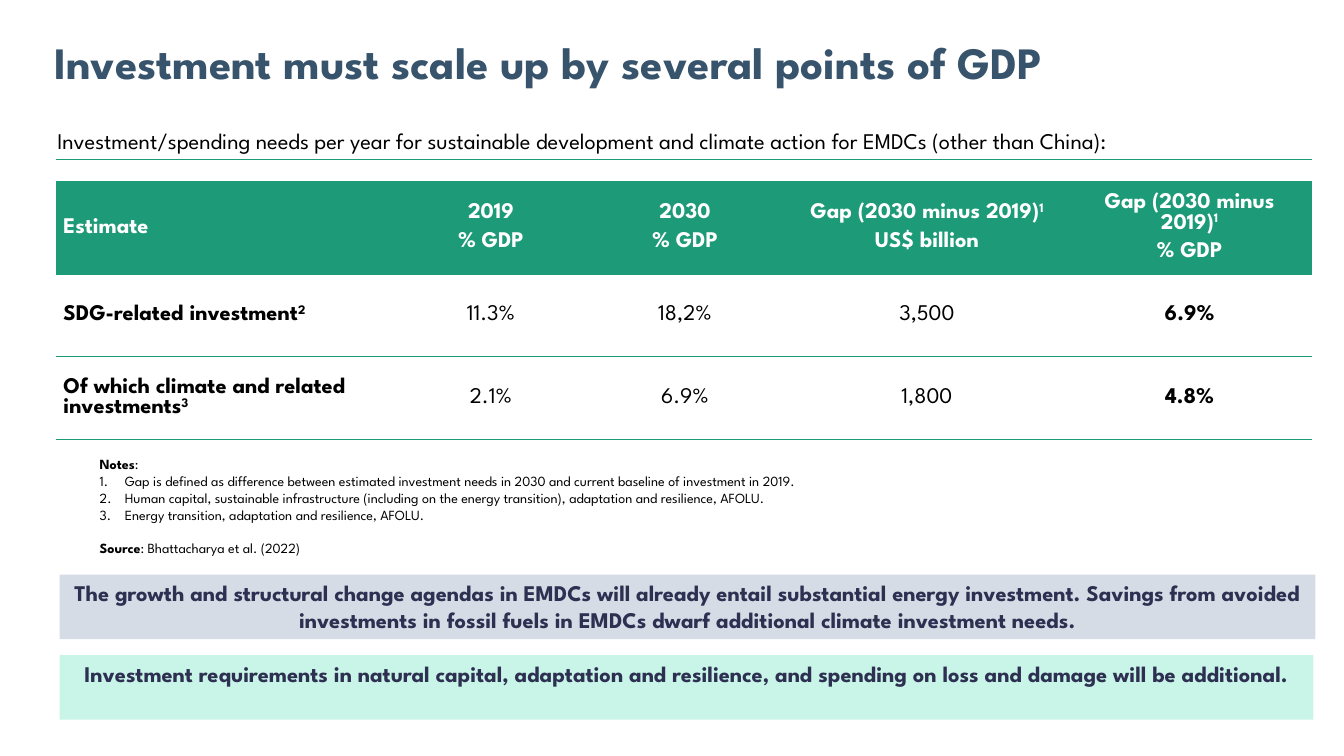
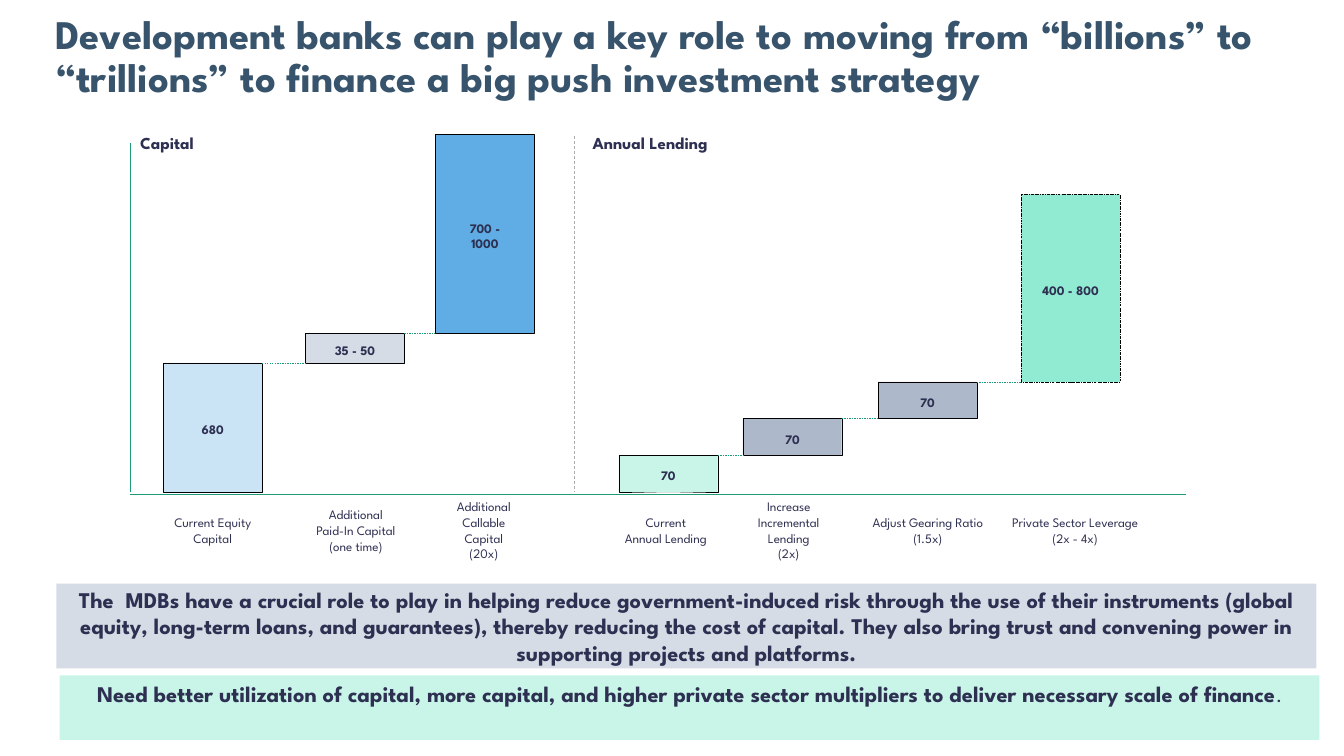
from dataclasses import dataclass

from lxml import etree
from pptx import Presentation
from pptx import util as u
from pptx.dml.color import RGBColor
from pptx.enum import dml, shapes, text
from pptx.oxml.ns import qn


@dataclass(frozen=True)
class Theme:
    face: str = "League Spartan"
    stop_face: str = "Roboto"
    title_ink: str = "37546C"
    ink: str = "2E3052"
    black: str = "000000"
    white: str = "FFFFFF"
    green: str = "1D9A78"
    mint: str = "C8F5E8"
    aqua: str = "91EAD2"
    mist: str = "D6DCE5"
    slate: str = "ADB9CA"
    sky: str = "CAE4F6"
    blue: str = "5FADE4"
    title_size: float = 32
    long_title_size: float = 29
    body_size: float = 16
    heading_size: float = 12
    note_size: float = 10
    label_size: float = 9.3
    hairline: float = 0.25
    rule: float = 0.5
    border: float = 1


THEME = Theme()
TOP, MIDDLE = text.MSO_ANCHOR.TOP, text.MSO_ANCHOR.MIDDLE
LEFT, CENTER = text.PP_ALIGN.LEFT, text.PP_ALIGN.CENTER
DASH, DASH_DOT = dml.MSO_LINE.DASH, dml.MSO_LINE.LONG_DASH_DOT
PLAIN_GRID = "{2D5ABB26-0587-4C30-8999-92F81FD0307C}"
BOLD, REGULAR, RAISED = {"bold": True}, {"bold": False}, {"raised": True}


def rgb(color):
    return RGBColor.from_string(color)


class Deck:
    """Positions and lengths are percentages of the slide's width and height."""

    def __init__(self, theme):
        self.theme = theme
        self.show = Presentation()
        self.show.slide_width, self.show.slide_height = u.Inches(13.33), u.Inches(7.5)
        self.slide = None

    def new_slide(self):
        self.slide = self.show.slides.add_slide(self.show.slide_layouts[6])

    def across(self, share):
        return round(self.show.slide_width * share / 100)

    def down(self, share):
        return round(self.show.slide_height * share / 100)

    def frame(self, left, top, width, height):
        return self.across(left), self.down(top), self.across(width), self.down(height)

    def compose(self, body, paragraphs, size, color, bold=False, align=LEFT, after=None):
        for index, pieces in enumerate(paragraphs):
            paragraph = body.paragraphs[0] if index == 0 else body.add_paragraph()
            paragraph.alignment = align
            if after is not None:
                paragraph.space_after = u.Pt(after)
            font = paragraph.font
            font.name, font.size, font.bold = self.theme.face, u.Pt(size), bold
            font.color.rgb = rgb(color)
            for piece in [pieces] if isinstance(pieces, str) else pieces:
                words, style = (piece, {}) if isinstance(piece, str) else piece
                if "\v" in words:
                    paragraph.text = words
                    continue
                run = paragraph.add_run()
                run.text = words
                if "bold" in style:
                    run.font.bold = style["bold"]
                if "face" in style:
                    run.font.name = style["face"]
                if style.get("raised"):
                    run.font._element.set("baseline", "30000")

    def text(self, box, paragraphs, size, color, anchor=TOP, **style):
        body = self.slide.shapes.add_textbox(*self.frame(*box)).text_frame
        body.word_wrap = True
        body.vertical_anchor = anchor
        self.compose(body, paragraphs, size, color, **style)
        return body

    def title(self, box, words, size):
        body = self.text(box, [words], size, self.theme.title_ink, bold=True)
        body.paragraphs[0].line_spacing = 0.9

    def block(self, box, fill, paragraphs, size, anchor=TOP):
        block = self.slide.shapes.add_shape(shapes.MSO_SHAPE.RECTANGLE, *self.frame(*box))
        block.shadow.inherit = False
        block.fill.solid()
        block.fill.fore_color.rgb = rgb(fill)
        block.line.fill.background()
        block.text_frame.word_wrap = True
        block.text_frame.vertical_anchor = anchor
        self.compose(block.text_frame, paragraphs, size, self.theme.ink,
                     bold=True, align=CENTER)
        return block

    def band(self, box, fill, message, anchor=TOP):
        self.block(box, fill, [message], self.theme.body_size, anchor)

    def bar(self, box, fill, value, dash=None):
        bar = self.block(box, fill, [value], self.theme.label_size, MIDDLE)
        bar.text_frame.margin_top, bar.text_frame.margin_bottom = u.Inches(0.04), 0
        bar.line.color.rgb = rgb(self.theme.black)
        bar.line.width = u.Pt(self.theme.hairline)
        if dash:
            bar.line.dash_style = dash

    def line(self, start, end, color, width, dash=None, alpha=None):
        line = self.slide.shapes.add_connector(
            shapes.MSO_CONNECTOR.STRAIGHT,
            self.across(start[0]), self.down(start[1]),
            self.across(end[0]), self.down(end[1]))
        line.line.color.rgb = rgb(color)
        line.line.width = u.Pt(width)
        if dash:
            line.line.dash_style = dash
        properties = line._element.spPr
        if alpha:
            tint = next(properties.iter(qn("a:srgbClr")))
            etree.SubElement(tint, qn("a:alpha")).set("val", str(alpha * 1000))
        etree.SubElement(properties, qn("a:effectLst"))

    def number(self, paragraph):
        properties = paragraph._p.get_or_add_pPr()
        indent = u.Inches(0.25)
        properties.set("marL", str(indent))
        properties.set("indent", str(-indent))
        mark = etree.Element(qn("a:buAutoNum"), type="arabicPeriod")
        properties.insert_element_before(mark, "a:tabLst", "a:defRPr", "a:extLst")

    def underline(self, cell, width):
        properties = cell._tc.get_or_add_tcPr()
        edge = etree.Element(qn("a:lnB"), w=str(u.Pt(width)))
        fill = etree.SubElement(edge, qn("a:solidFill"))
        etree.SubElement(fill, qn("a:srgbClr"), val=self.theme.green)
        properties.insert(0, edge)

    def table(self, left, top, widths, heights, rows):
        theme = self.theme
        holder = self.slide.shapes.add_table(
            len(rows), len(widths), *self.frame(left, top, sum(widths), sum(heights)))
        next(holder._element.iter(qn("a:tableStyleId"))).text = PLAIN_GRID
        grid = holder.table
        grid.first_row = grid.horz_banding = False
        for column, width in zip(grid.columns, widths):
            column.width = self.across(width)
        for r, (row, height) in enumerate(zip(rows, heights)):
            grid.rows[r].height = self.down(height)
            header, last = r == 0, r == len(rows) - 1
            for c, paragraphs in enumerate(row):
                cell = grid.cell(r, c)
                cell.vertical_anchor = MIDDLE
                cell.margin_left = cell.margin_right = u.Inches(0.07)
                cell.margin_top = cell.margin_bottom = 0
                if header:
                    cell.fill.solid()
                    cell.fill.fore_color.rgb = rgb(theme.green)
                else:
                    cell.fill.background()
                self.underline(cell, theme.rule if last else theme.border)
                self.compose(cell.text_frame, paragraphs, theme.body_size,
                             theme.white if header else theme.black,
                             bold=header or c in (0, len(widths) - 1),
                             align=CENTER if c else LEFT, after=6)

    def waterfall(self, base, steps):
        theme, bar_width, label_height = self.theme, 7.35, 5.07
        tops = [step[1] for step in steps]
        for index, (left, top, fill, value, label, middle, width, dash) in enumerate(steps):
            bottom = tops[index - 1] if index else base
            self.bar((left, top, bar_width, bottom - top), fill, value, dash)
            self.text((middle - width / 2, 67.6, width, label_height), label,
                      theme.label_size, theme.ink, MIDDLE, align=CENTER)
        for step, following in zip(steps, steps[1:]):
            self.line((step[0] + bar_width, step[1]), (following[0], step[1]),
                      theme.green, theme.hairline, DASH)


def investment_needs(deck):
    theme = deck.theme
    deck.new_slide()
    deck.title((3.3, 4.8, 86.25, 9.07),
               "Investment must scale up by several points of GDP", theme.title_size)
    deck.text((3.53, 16.13, 95.4, 4.93),
              ["Investment/spending needs per year for sustainable development and climate "
               "action for EMDCs (other than China):"], theme.body_size, theme.black)
    deck.line((4.2, 21.07), (97.65, 21.07), theme.green, theme.rule)

    gap = ["Gap (2030 minus 2019)", ("1", RAISED)]
    deck.table(4.2, 24, [25.43, 13.8, 15.08, 20.93, 18.15], [12.27, 10.93, 10.93], [
        [["Estimate"], ["2019", "% GDP"], ["2030", "% GDP"],
         [gap, "US$ billion"], [gap, "% GDP"]],
        [[["SDG-related investment", ("2", RAISED)]],
         ["11.3%"], ["18,2%"], ["3,500"], ["6.9%"]],
        [[["Of which climate and related investments", ("3", RAISED)]],
         ["2.1%"], ["6.9%"], ["1,800"], ["4.8%"]],
    ])

    notes = deck.text((6.68, 59.6, 69.68, 14.8), [
        [("Notes", BOLD), ":"],
        "Gap is defined as difference between estimated investment needs in 2030 and "
        "current baseline of investment in 2019.",
        "Human capital, sustainable infrastructure (including on the energy transition), "
        "adaptation and resilience, AFOLU.",
        "Energy transition, adaptation and resilience, AFOLU.",
        [("Source", BOLD), ": Bhattacharya et al. (2022)"],
    ], theme.note_size, theme.black)
    for note in notes.paragraphs[1:4]:
        deck.number(note)
    notes.paragraphs[4].space_before = u.Pt(12)

    deck.band((4.43, 76, 93.45, 8.53), theme.mist,
              "The growth and structural change agendas in EMDCs will already entail "
              "substantial energy investment. Savings from avoided investments in fossil "
              "fuels in EMDCs dwarf additional climate investment needs.")
    deck.band((4.43, 86.67, 93.3, 8.53), theme.mint,
              "Investment requirements in natural capital, adaptation and resilience, and "
              "spending on loss and damage will be additional.")


def development_banks(deck):
    theme = deck.theme
    base = 65.07
    deck.new_slide()
    deck.line((9.68, 18.93), (9.68, base), theme.green, theme.rule)
    deck.line((42.75, 18), (42.75, base), theme.black, theme.rule, DASH, alpha=32)
    deck.line((9.68, 65.33), (88.28, 65.33), theme.green, theme.rule)
    for left, heading in ((9.68, "Capital"), (43.35, "Annual Lending")):
        deck.text((left, 15.33, 13.5, 7.2), [heading], theme.heading_size, theme.ink,
                  MIDDLE, bold=True)

    deck.waterfall(base, [
        (12.15, 48, theme.sky, "680", ["Current Equity Capital"], 15.83, 7.35, None),
        (22.73, 44.13, theme.mist, "35 - 50",
         ["Additional Paid-In Capital (one time)"], 26.48, 7.35, None),
        (32.4, 17.73, theme.blue, "700 -\v1000",
         ["Additional Callable Capital", "(20x)"], 36, 7.35, None),
    ])
    deck.waterfall(base, [
        (46.05, 60.27, theme.mint, "70", ["Current", "Annual Lending"], 49.54, 10.73, None),
        (55.28, 55.33, theme.slate, "70",
         ["Increase Incremental Lending", "(2x)"], 58.69, 9.08, None),
        (65.33, 50.53, theme.slate, "70",
         ["Adjust Gearing Ratio", "(1.5x)"], 69.04, 10.58, None),
        (75.98, 25.73, theme.aqua, "400 - 800",
         ["Private Sector Leverage", "(2x - 4x)"], 79.99, 11.48, DASH_DOT),
    ])

    deck.band((4.2, 77.2, 93.75, 11.2), theme.mist,
              "The  MDBs have a crucial role to play in helping reduce government-induced "
              "risk through the use of their instruments (global equity, long-term loans, "
              "and guarantees), thereby reducing the cost of capital. They also bring trust "
              "and convening power in supporting projects and platforms.", MIDDLE)
    deck.band((4.43, 89.33, 93.75, 8.53), theme.mint,
              ["Need better utilization of capital, more capital, and higher private sector "
               "multipliers to deliver necessary scale of finance",
               (".", {**REGULAR, "face": theme.stop_face})])
    deck.title((3.38, 1.2, 94.58, 14.93),
               "Development banks can play a key role to moving from “billions” to "
               "“trillions” to finance a big push investment strategy", theme.long_title_size)


def main():
    deck = Deck(THEME)
    investment_needs(deck)
    development_banks(deck)
    deck.show.save("out.pptx")


if __name__ == "__main__":
    main()
